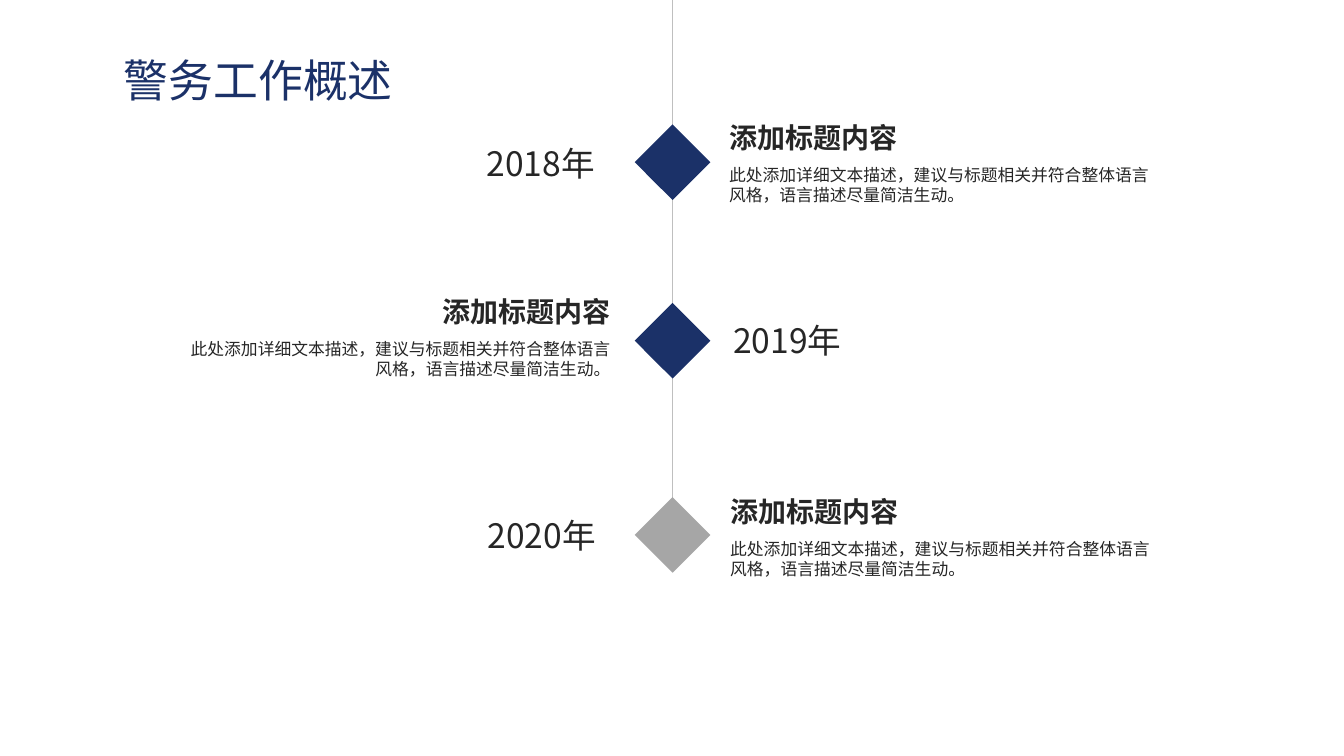
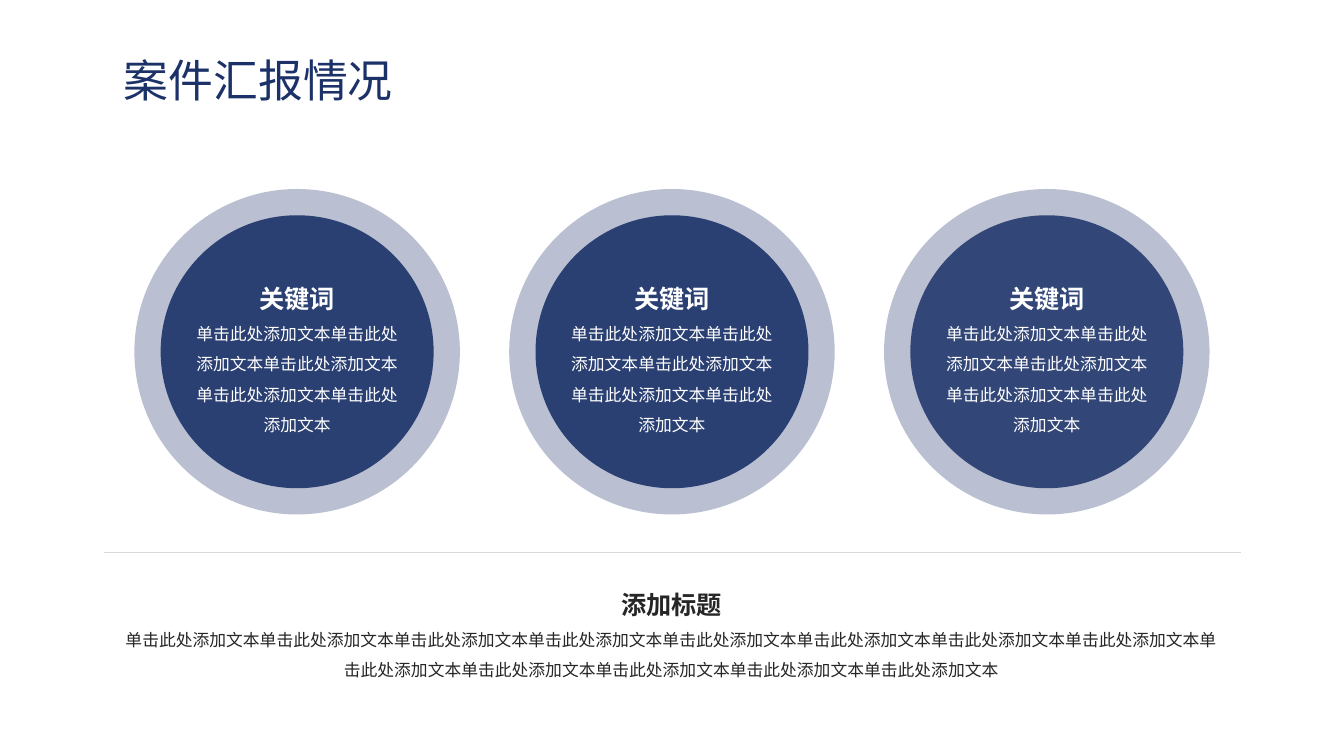
from lxml import etree
from pptx import Presentation
from pptx.dml.color import RGBColor
from pptx.enum.shapes import MSO_CONNECTOR, MSO_SHAPE
from pptx.enum.text import MSO_ANCHOR, MSO_AUTO_SIZE, PP_ALIGN
from pptx.oxml.ns import qn
from pptx.util import Emu, Pt

STRAIGHT = MSO_CONNECTOR.STRAIGHT
SQUARE, CIRCLE = MSO_SHAPE.RECTANGLE, MSO_SHAPE.OVAL
LEFT, CENTER, RIGHT = PP_ALIGN.LEFT, PP_ALIGN.CENTER, PP_ALIGN.RIGHT
MIDDLE = MSO_ANCHOR.MIDDLE
NO_FIT, GROW = MSO_AUTO_SIZE.NONE, MSO_AUTO_SIZE.SHAPE_TO_FIT_TEXT

FONT = "Noto Sans CJK SC"
NAVY, GREY, DARK, WHITE = "1B3168", "A6A6A6", "262626", "FFFFFF"
AXIS_GREY, RULE_GREY = "BFBFBF", "D9D9D9"

TITLE_ONLY = 5
AXIS_X = 640
MARKER = 51
HEADING_WIDTH, DETAIL_WIDTH = 285, 427
RING, DISC = 310, 260
RING_LEFT, RING_TOP, RING_PITCH = 128, 180, 357

ENTRY_HEADING = "添加标题内容"
ENTRY_DETAIL = "此处添加详细文本描述，建议与标题相关并符合整体语言风格，语言描述尽量简洁生动。"
FILLER = "单击此处添加文本"

# year, colour, centre y, year left, year top, entry edge, entry top, entry alignment
MILESTONES = [
    ("2018年", NAVY, 154, 405, 131, 685, 110, LEFT),
    ("2019年", NAVY, 324, 640, 300, 591, 276, RIGHT),
    ("2020年", GREY, 509, 406, 486, 686, 466, LEFT),
]
DISC_OPACITIES = [90, 90, 85]


def px(length):
    return Emu(length * 9525)


def rgb(value):
    return RGBColor.from_string(value)


def write_text(paragraph, text, size=12, color=DARK, bold=False, align=LEFT, spacing=None):
    paragraph.alignment = align
    if spacing:
        paragraph.line_spacing = spacing
    run = paragraph.add_run()
    run.text = text
    font = run.font
    font.size, font.bold, font.name = Pt(size), bold, FONT
    font.color.rgb = rgb(color)
    etree.SubElement(font._element, qn("a:ea")).set("typeface", FONT)


def add_text(shapes, box, *texts, **common):
    frame = shapes.add_textbox(*map(px, box)).text_frame
    frame.word_wrap = True
    frame.auto_size = GROW
    for index, (text, style) in enumerate(texts):
        paragraph = frame.add_paragraph() if index else frame.paragraphs[0]
        write_text(paragraph, text, **common, **style)


def add_keyword_text(shapes, box, heading, body, color):
    add_text(shapes, box, (heading, {"size": 18, "bold": True}), (body, {}),
             color=color, align=CENTER, spacing=1.5)


def add_filled(shapes, kind, box, color, opacity=100):
    shape = shapes.add_shape(kind, *map(px, box))
    shape.shadow.inherit = False
    shape.fill.solid()
    shape.fill.fore_color.rgb = rgb(color)
    shape.line.fill.background()
    if opacity < 100:
        tint = shape.element.spPr.find(".//" + qn("a:srgbClr"))
        etree.SubElement(tint, qn("a:alpha")).set("val", str(opacity * 1000))
    return shape


def add_line(shapes, start, end, color, width):
    line = shapes.add_connector(STRAIGHT, *map(px, (*start, *end)))
    line.line.color.rgb = rgb(color)
    line.line.width = Pt(width)
    etree.SubElement(line.element.spPr, qn("a:effectLst"))


def add_titled_slide(presentation, text):
    slide = presentation.slides.add_slide(presentation.slide_layouts[TITLE_ONLY])
    title = slide.shapes.title
    title.left, title.top, title.width, title.height = map(px, (111, 53, 416, 45))
    frame = title.text_frame
    frame.auto_size, frame.vertical_anchor = NO_FIT, MIDDLE
    frame.margin_left = frame.margin_right = px(7)
    frame.margin_top = frame.margin_bottom = px(4)
    write_text(frame.paragraphs[0], text, size=32, color=NAVY)
    return slide


def add_entry(shapes, edge, top, align):
    group = shapes.add_group_shape().shapes
    for text, width, height, drop, style in (
        (ENTRY_HEADING, HEADING_WIDTH, 42, 0, {"size": 20, "bold": True}),
        (ENTRY_DETAIL, DETAIL_WIDTH, 48, 42, {}),
    ):
        left = edge - width if align == RIGHT else edge
        add_text(group, (left, top + drop, width, height), (text, style), align=align)


def add_milestone(shapes, year, color, center, year_left, year_top, edge, top, align):
    corner = (AXIS_X - MARKER // 2, center - MARKER // 2)
    marker = add_filled(shapes, SQUARE, (*corner, MARKER, MARKER), color)
    marker.rotation = 45
    add_text(shapes, (year_left, year_top, 220, 48), (year, {"size": 24}), align=CENTER)
    add_entry(shapes, edge, top, align)


def add_keyword_circle(shapes, left, opacity):
    group = shapes.add_group_shape().shapes
    inset = (RING - DISC) // 2
    add_filled(group, CIRCLE, (left, RING_TOP, RING, RING), NAVY, 30)
    add_filled(group, CIRCLE, (left + inset, RING_TOP + inset, DISC, DISC), NAVY, opacity)
    add_keyword_text(group, (left + 44, 251, 222, 166), "关键词", FILLER * 5, WHITE)


def build_timeline(presentation):
    shapes = add_titled_slide(presentation, "警务工作概述").shapes
    stops = [0] + [milestone[2] for milestone in MILESTONES]
    for start, end in zip(stops, stops[1:]):
        add_line(shapes, (AXIS_X, start), (AXIS_X, end), AXIS_GREY, 0.5)
    for milestone in MILESTONES:
        add_milestone(shapes, *milestone)


def build_keywords(presentation):
    shapes = add_titled_slide(presentation, "案件汇报情况").shapes
    for index, opacity in enumerate(DISC_OPACITIES):
        add_keyword_circle(shapes, RING_LEFT + index * RING_PITCH, opacity)
    add_line(shapes, (99, 526), (1182, 526), RULE_GREY, 0.25)
    add_keyword_text(shapes, (110, 542, 1059, 111), "添加标题", FILLER * 13, DARK)


def main():
    presentation = Presentation()
    presentation.slide_width, presentation.slide_height = px(1280), px(720)
    build_timeline(presentation)
    build_keywords(presentation)
    presentation.save("out.pptx")


if __name__ == "__main__":
    main()
